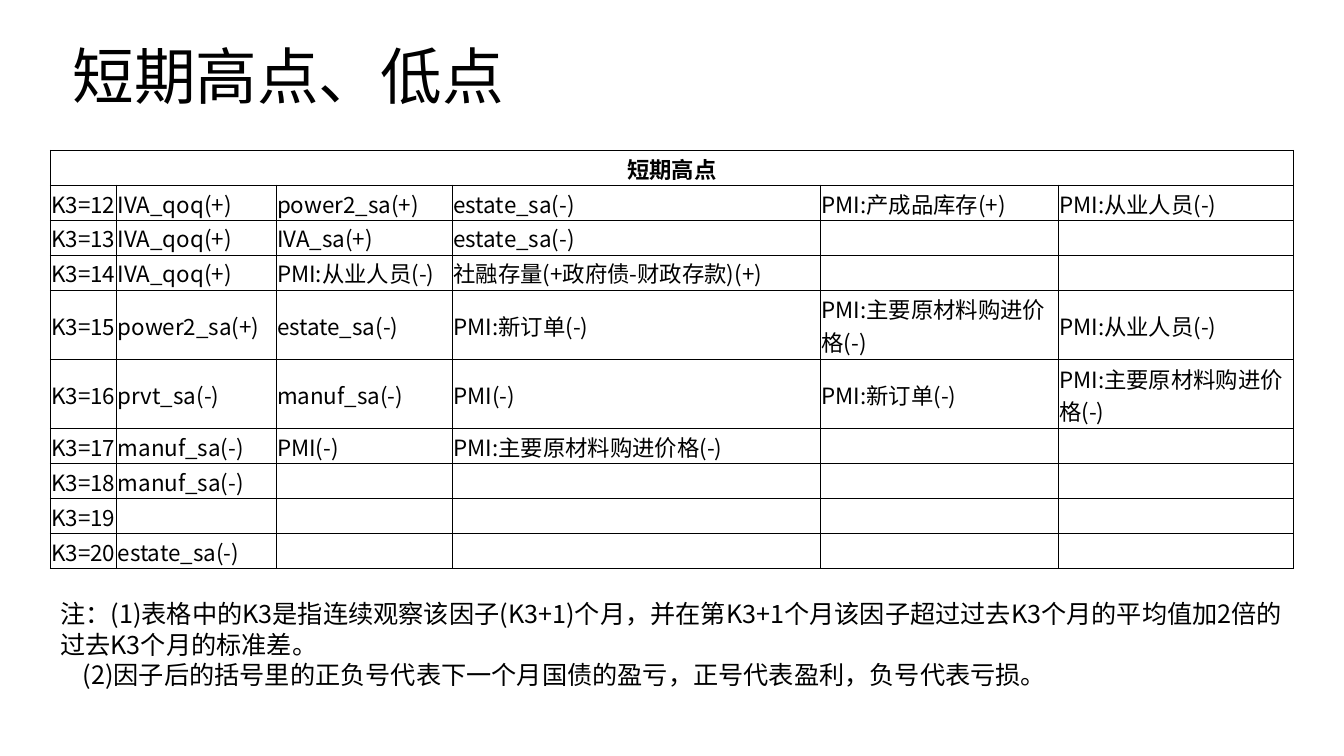
from typing import NamedTuple

from lxml import etree
from pptx import Presentation
from pptx.dml.color import RGBColor
from pptx.enum.text import MSO_ANCHOR, MSO_AUTO_SIZE, PP_ALIGN
from pptx.oxml.ns import qn
from pptx.util import Pt

LEFT, MID = PP_ALIGN.LEFT, PP_ALIGN.CENTER
CENTRE = MSO_ANCHOR.MIDDLE
FIXED = MSO_AUTO_SIZE.NONE
BLACK = RGBColor(0, 0, 0)
FACE = "Noto Sans CJK SC"
EDGE, WIDE = Pt(36), Pt(887.8)
COLS = (47.5, 113.8, 126, 262.8, 169.9, 167.8)
LOW, TALL = Pt(25), Pt(49.5)
CELL = {"margin_left": Pt(0.7), "margin_right": Pt(0.7), "margin_top": Pt(0.7),
        "margin_bottom": 0, "vertical_anchor": CENTRE}
PLAIN = {"first_row": False, "horz_banding": False}

HEAD = "短期高点"
STAFF = "PMI:从业人员(-)"
ORDERS = "PMI:新订单(-)"
PRICE = "PMI:主要原材料购进价格(-)"
NOTES = (
    "注：(1)表格中的K3是指连续观察该因子(K3+1)个月，并在第K3+1个月该因子"
    "超过过去K3个月的平均值加2倍的过去K3个月的标准差。",
    "(2)因子后的括号里的正负号代表下一个月国债的盈亏，正号代表盈利，负号代表亏损。",
)


class Row(NamedTuple):
    """Factors found for one value of K3."""
    span: int
    items: tuple[str, ...]
    high: int = LOW


ROWS = (
    Row(12, ("IVA_qoq(+)", "power2_sa(+)", "estate_sa(-)", "PMI:产成品库存(+)", STAFF)),
    Row(13, ("IVA_qoq(+)", "IVA_sa(+)", "estate_sa(-)")),
    Row(14, ("IVA_qoq(+)", STAFF, "社融存量(+政府债-财政存款)(+)")),
    Row(15, ("power2_sa(+)", "estate_sa(-)", ORDERS, PRICE, STAFF), TALL),
    Row(16, ("prvt_sa(-)", "manuf_sa(-)", "PMI(-)", ORDERS, PRICE), TALL),
    Row(17, ("manuf_sa(-)", "PMI(-)", PRICE)),
    Row(18, ("manuf_sa(-)",)),
    Row(19, ()),
    Row(20, ("estate_sa(-)",)),
)


def apply(item: object, form: dict) -> None:
    """Set each attribute named in form."""
    for name, value in form.items():
        setattr(item, name, value)


def write(para, text: str, size: int, bold: bool = False, **form) -> None:
    """Fill a paragraph with one styled run."""
    apply(para, {"alignment": LEFT, **form})
    run = para.add_run()
    run.text = text
    apply(run.font, {"size": Pt(size), "bold": bold, "name": FACE})
    run.font.color.rgb = BLACK
    east = etree.Element(qn("a:ea"), typeface=FACE)
    run.font._element.find(qn("a:latin")).addnext(east)


def border(cell) -> None:
    """Draw a thin black line on all four sides of a cell."""
    props = cell._tc.get_or_add_tcPr()
    for side in ("lnL", "lnR", "lnT", "lnB"):
        line = etree.SubElement(props, qn(f"a:{side}"), w=str(Pt(1)))
        fill = etree.SubElement(line, qn("a:solidFill"))
        etree.SubElement(fill, qn("a:srgbClr"), val=str(BLACK))


def style(cell) -> None:
    """Give a cell its margins, lines and empty fill."""
    apply(cell, CELL)
    border(cell)
    cell.fill.background()


def enter(cell, text: str, **form) -> None:
    """Write a cell's text, or keep an empty cell at text height."""
    para = cell.text_frame.paragraphs[0]
    if text:
        write(para, text, 16, **form)
    else:
        etree.SubElement(para._p, qn("a:endParaRPr"), sz="1600")


def add_title(slide) -> None:
    """Place and fill the title."""
    title = slide.shapes.title
    apply(title, {"left": Pt(44.6), "top": Pt(19.4), "width": Pt(807), "height": Pt(74.2)})
    apply(title.text_frame, {"vertical_anchor": CENTRE, "auto_size": FIXED})
    write(title.text_frame.paragraphs[0], "短期高点、低点", 44, line_spacing=0.9)


def add_grid(slide) -> None:
    """Add the table of factors."""
    high = LOW + sum(row.high for row in ROWS)
    grid = slide.shapes.add_table(
        len(ROWS) + 1, len(COLS), EDGE, Pt(107.4), WIDE, high).table
    apply(grid, PLAIN)
    for col, wide in zip(grid.columns, COLS):
        col.width = Pt(wide)
    for cell in grid.iter_cells():
        style(cell)
    grid.rows[0].height = LOW
    grid.cell(0, 0).merge(grid.cell(0, len(COLS) - 1))
    enter(grid.cell(0, 0), HEAD, bold=True, alignment=MID)
    for line, row in zip(list(grid.rows)[1:], ROWS):
        line.height = row.high
        blanks = ("",) * (len(COLS) - 1 - len(row.items))
        for cell, text in zip(line.cells, (f"K3={row.span}", *row.items, *blanks)):
            enter(cell, text)


def add_notes(slide) -> None:
    """Add the notes below the table."""
    frame = slide.shapes.add_textbox(EDGE, Pt(424), WIDE, Pt(72.7)).text_frame
    frame.word_wrap = True
    first, second = frame.paragraphs[0], frame.add_paragraph()
    for para, text in zip((first, second), NOTES):
        write(para, text, 18, line_spacing=Pt(21.6))
    second._p.get_or_add_pPr().set("indent", str(Pt(16)))


def main() -> None:
    """Build and save the slide."""
    deck = Presentation()
    apply(deck, {"slide_width": Pt(960), "slide_height": Pt(540)})
    slide = deck.slides.add_slide(deck.slide_layouts.get_by_name("Title Only"))
    add_title(slide)
    add_grid(slide)
    add_notes(slide)
    deck.save("out.pptx")


main()
